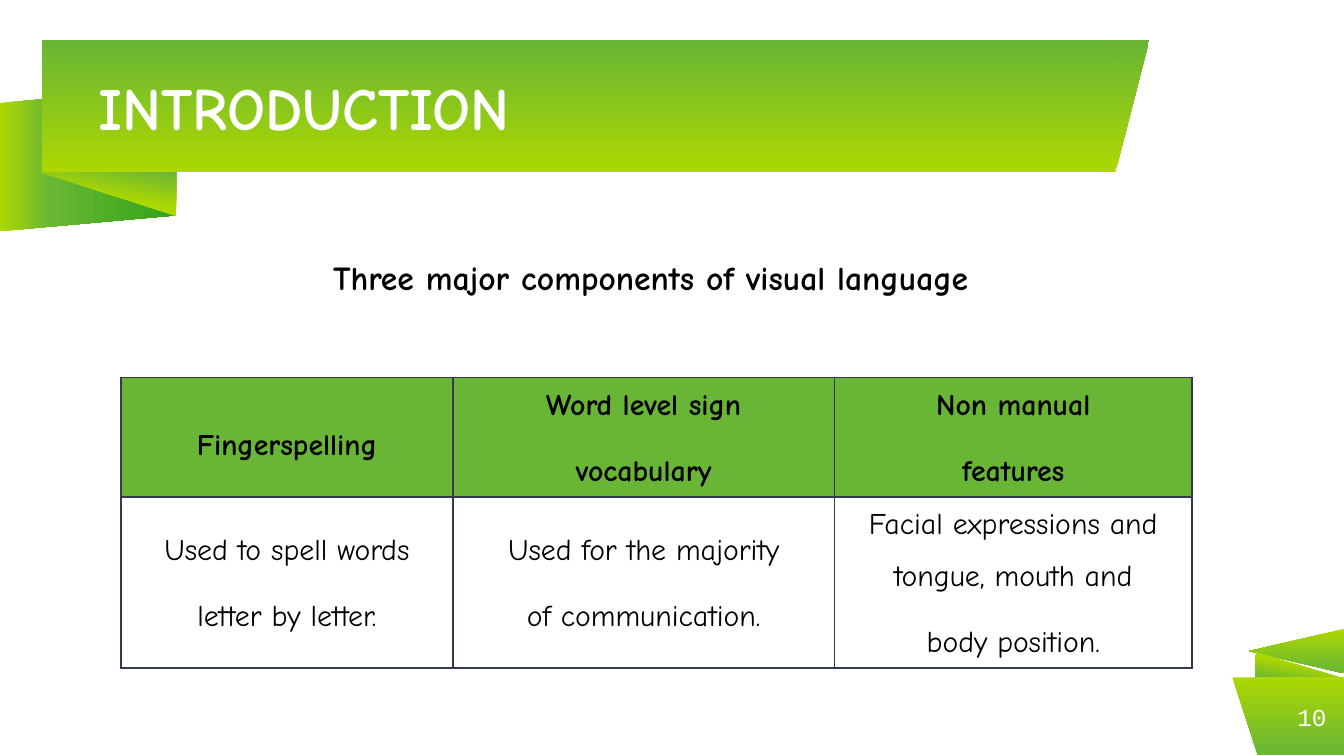
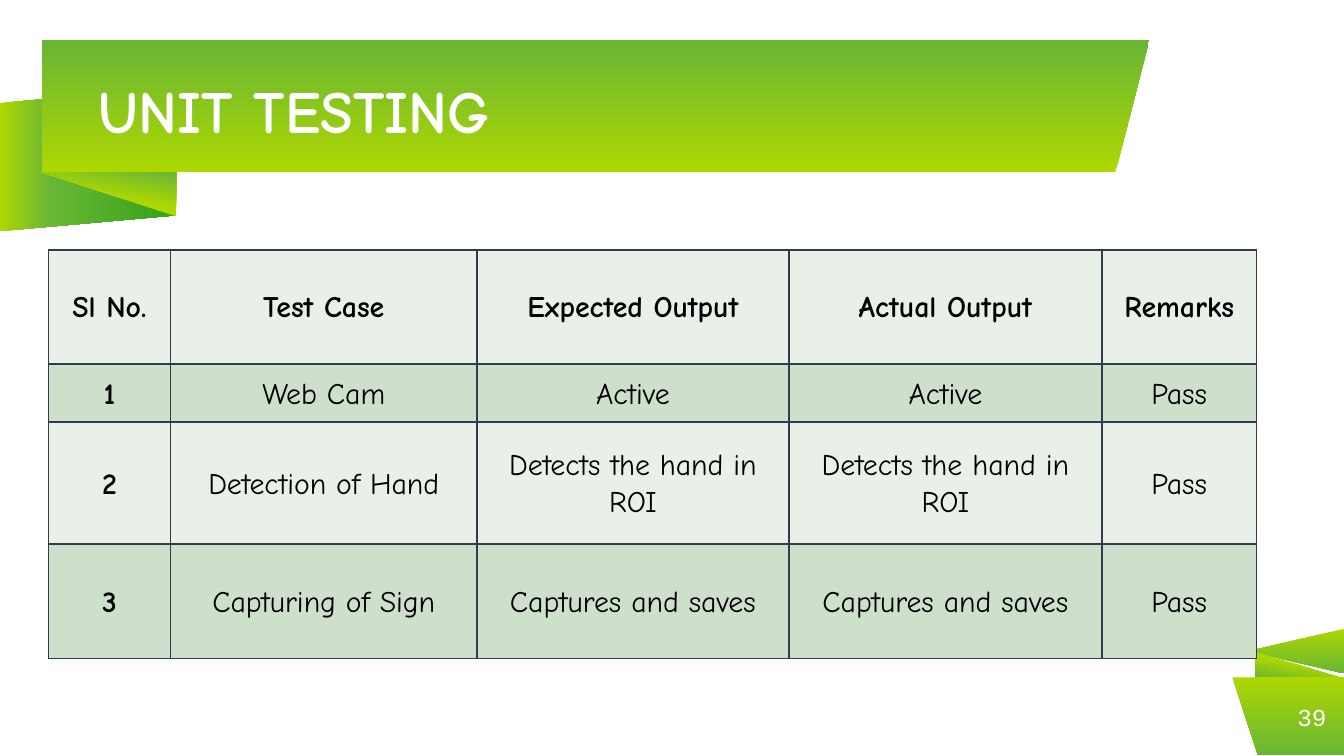
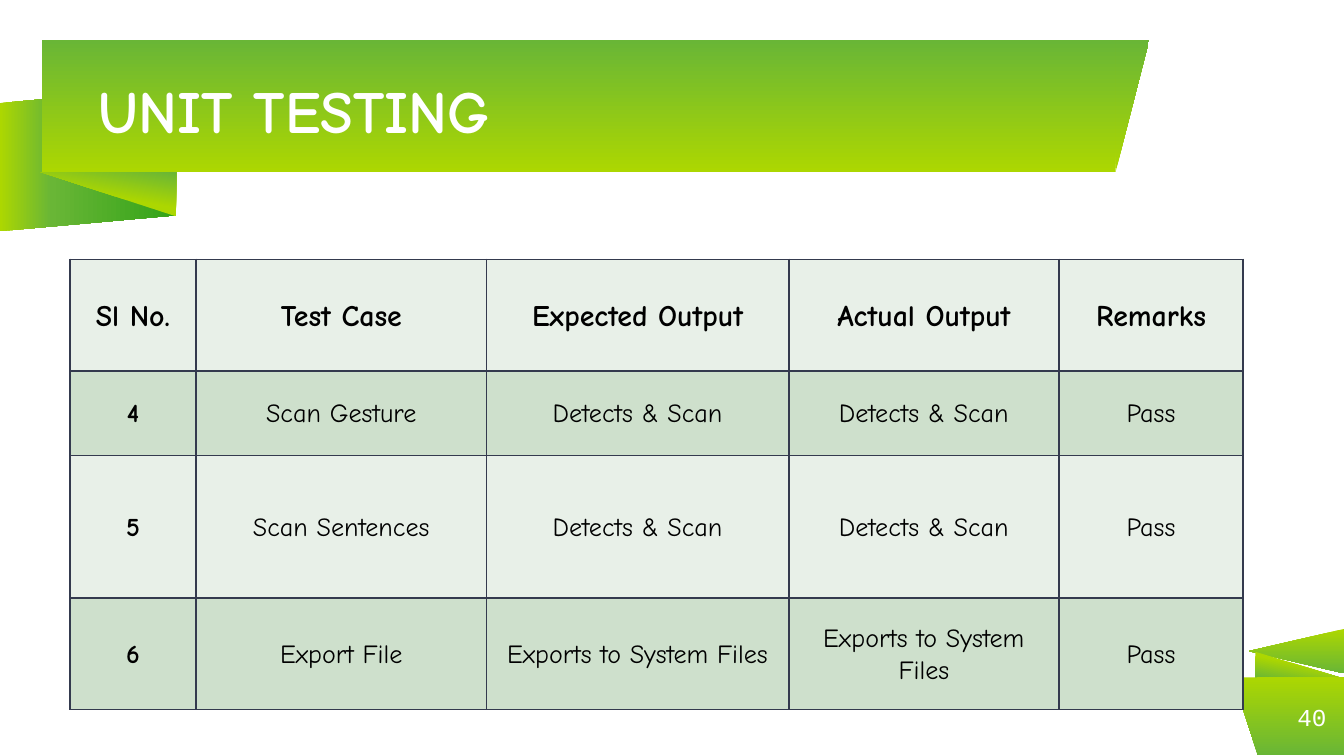
from dataclasses import dataclass

from lxml.etree import SubElement
from pptx import Presentation
from pptx.dml.color import RGBColor
from pptx.enum.shapes import MSO_SHAPE as Kind
from pptx.enum.text import MSO_ANCHOR as Anchor, MSO_AUTO_SIZE as Fit, PP_ALIGN as Align
from pptx.oxml.ns import qn
from pptx.util import Emu, Inches, Pt


@dataclass(frozen=True)
class Theme:
    lime: str = "ACD701"
    green: str = "69B636"
    deep: str = "32A318"
    pale: str = "E8F0E8"
    sage: str = "CEE0CC"
    rule: str = "343A4E"
    ink: str = "000000"
    white: str = "FFFFFF"
    face: str = "Comic Neue"
    mono: str = "Courier New"
    title: int = 32
    lead: int = 18
    cell: int = 16
    small: int = 14
    page: int = 13


T = Theme()
WIDE = Inches(10)
HIGH = Emu(WIDE * 9 // 16)
UNIT = WIDE // 10  # one square grid cell: ten columns across the slide

# Gradient stops: share of the way, colour
FADE = [(0, T.lime), (100, T.green)]
FOLD = [(0, T.lime), (47, T.lime), (100, T.green)]
TAIL = [(0, T.lime), (29, T.green), (100, T.deep)]


@dataclass(frozen=True)
class Box:
    """An area measured in grid columns and rows."""
    x: float
    y: float
    w: float
    h: float

    def inner(self, x, y, w, h):
        return Box(self.x + x, self.y + y, w, h)

    def emu(self):
        return [Emu(round(n * UNIT)) for n in (self.x, self.y, self.w, self.h)]


# Basic parts
def style(para, size, color, bold=False, face=T.face):
    font = para.font
    font.size, font.bold, font.name = Pt(size), bold, face
    font.color.rgb = RGBColor.from_string(color)


def shade(slide, kind, box, stops, angle, turn=0, flip=False, adj=None):
    shape = slide.shapes.add_shape(kind, *box.emu())
    shape.shadow.inherit = False
    shape.line.fill.background()
    shape.rotation = turn
    if flip:
        shape.element.spPr.xfrm.set("flipH", "1")
    if adj is not None:
        shape.adjustments[0] = adj
    shape.fill.gradient()
    grad = shape.element.spPr.find(qn("a:gradFill"))
    items = grad.find(qn("a:gsLst"))
    for old in list(items):
        items.remove(old)
    for share, color in stops:
        stop = SubElement(items, qn("a:gs"), pos=str(share * 1000))
        SubElement(stop, qn("a:srgbClr"), val=color)
    grad.find(qn("a:lin")).set("ang", str(angle * 60000))


def label(slide, box, text, inset=True):
    frame = slide.shapes.add_textbox(*box.emu()).text_frame
    frame.word_wrap = True
    if not inset:
        frame.margin_left = frame.margin_right = 0
        frame.margin_top = frame.margin_bottom = 0
        frame.vertical_anchor = Anchor.MIDDLE
    frame.text = text
    return frame, frame.paragraphs[0]


def glow(font):
    """Soft shadow under the letters."""
    props = font._element
    effects = SubElement(props, qn("a:effectLst"))
    cast = SubElement(effects, qn("a:outerShdw"), blurRad="38100",
                      dist="38100", dir="2700000", algn="tl")
    color = SubElement(cast, qn("a:srgbClr"), val=T.ink)
    SubElement(color, qn("a:alpha"), val="43000")
    props.find(qn("a:latin")).addprevious(effects)


# Ribbon with the slide title
def ribbon(slide, box, text, drop):
    shade(slide, Kind.PARALLELOGRAM, box.inner(0.12, 0.23, 1.07, 1.31), TAIL, 90, 270, True, 0.11)
    shade(slide, Kind.RIGHT_TRIANGLE, box.inner(0.3, 0.98, 1.01, 0.33), FOLD, 100, 180)
    shade(slide, Kind.RECTANGLE, box.inner(0.31, 0, 7.99, 0.98), FADE, 90, 180, True)
    shade(slide, Kind.ISOSCELES_TRIANGLE, box.inner(8.3, 0, 0.25, 0.98), FADE, 90, 180, adj=1)
    _, para = label(slide, box.inner(0.73, drop, 7.48, 0.98), text, inset=False)
    para.line_spacing = 0.9
    style(para, T.title, T.white, True)
    glow(para.font)


# Folded corner with the page number
def corner(slide, box, page):
    shade(slide, Kind.ISOSCELES_TRIANGLE, box.inner(0.31, 0, 0.33, 0.71), FADE, 180, 270, adj=0.5)
    shade(slide, Kind.RIGHT_TRIANGLE, box.inner(0.17, 0.36, 0.66, 0.2), FOLD, 100)
    shade(slide, Kind.RECTANGLE, box.inner(0.18, 0.55, 0.65, 0.58), FADE, 270, 180)
    shade(slide, Kind.ISOSCELES_TRIANGLE, box.inner(0, 0.55, 0.19, 0.58), FADE, 270, 180, True, 1)
    _, para = label(slide, box.inner(0.17, 0.55, 0.53, 0.58), str(page), inset=False)
    para.alignment = Align.RIGHT
    style(para, T.page, T.white, face=T.mono)


# Tables
def edge(cell):
    props = cell._tc.get_or_add_tcPr()
    for at, side in enumerate(("lnL", "lnR", "lnT", "lnB")):
        line = SubElement(props, qn(f"a:{side}"), w=str(Pt(1)))
        paint = SubElement(line, qn("a:solidFill"))
        SubElement(paint, qn("a:srgbClr"), val=T.rule)
        props.insert(at, line)


def fill(cell, text, size, bold, color, last):
    cell.vertical_anchor = Anchor.MIDDLE
    cell.margin_left = cell.margin_right = Inches(0.07)
    cell.margin_top = cell.margin_bottom = 0
    cell.text = text
    paras = cell.text_frame.paragraphs
    for para in paras:
        para.alignment = Align.CENTER
        para.line_spacing = last if para is paras[-1] else 1.07
        para.space_after = Pt(8)
        style(para, size, T.ink, bold)
    if color:
        cell.fill.solid()
        cell.fill.fore_color.rgb = RGBColor.from_string(color)
    else:
        cell.fill.background()
    edge(cell)


def grid(slide, box, cols, rows, data, tints, size=T.cell, last=1.07, lead=False):
    """Fill a table; lead makes the first column bold as well as the first row."""
    table = slide.shapes.add_table(len(rows), len(cols), *box.emu()).table
    table.horz_banding = False
    for col, width in zip(table.columns, cols):
        col.width = Emu(round(width * UNIT))
    for r, (height, texts) in enumerate(zip(rows, data)):
        table.rows[r].height = Emu(round(height * UNIT))
        for c, text in enumerate(texts):
            fill(table.cell(r, c), text, size if r else T.cell,
                 r == 0 or (lead and c == 0), tints[r % 2], last)


# Types of slide
def base(deck, title, page, drop):
    slide = deck.slides.add_slide(deck.slide_layouts[6])
    ribbon(slide, Box(0, 0.3, 8.55, 1.42), title, drop)
    corner(slide, Box(9.17, 4.49, 0.83, 1.13), page)
    return slide


def intro(deck):
    slide = base(deck, "INTRODUCTION", 10, 0.04)
    frame, para = label(slide, Box(2.38, 1.86, 5.6, 0.4),
                        "Three major components of visual language")
    frame.auto_size = Fit.SHAPE_TO_FIT_TEXT
    style(para, T.lead, T.ink, True)
    data = [
        ("Fingerspelling", "Word level sign\nvocabulary", "Non manual\nfeatures"),
        ("Used to spell words\nletter by letter.",
         "Used for the majority\nof communication.",
         "Facial expressions and\ntongue, mouth and\nbody position."),
    ]
    grid(slide, Box(0.9, 2.81, 7.97, 2.16), [2.47, 2.84, 2.66], [0.89, 1.27],
         data, (T.green, None), last=1.5)


def tests(deck, page, box, cols, rows, first, cases, size):
    """Each case gives its name and the result, both expected and actual."""
    slide = base(deck, "UNIT TESTING", page, 0.06)
    data = [("Sl No.", "Test Case", "Expected Output", "Actual Output", "Remarks")]
    for number, (name, result) in enumerate(cases, first):
        data.append((str(number), name, result, result, "Pass"))
    grid(slide, box, cols, rows, data, (T.pale, T.sage), size, lead=True)


def main():
    deck = Presentation()
    deck.slide_width, deck.slide_height = WIDE, HIGH
    intro(deck)
    tests(deck, 39, Box(0.36, 1.86, 8.99, 3.04),
          [0.91, 2.28, 2.32, 2.33, 1.15], [0.85, 0.43, 0.91, 0.85], 1,
          [("Web Cam", "Active"),
           ("Detection of Hand", "Detects the hand in ROI"),
           ("Capturing of Sign", "Captures and saves")], T.cell)
    tests(deck, 40, Box(0.52, 1.93, 8.73, 3.35),
          [0.94, 2.16, 2.25, 2.01, 1.37], [0.83, 0.63, 1.06, 0.83], 4,
          [("Scan Gesture", "Detects & Scan"),
           ("Scan Sentences", "Detects & Scan"),
           ("Export File", "Exports to System Files")], T.small)
    deck.save("out.pptx")


if __name__ == "__main__":
    main()
